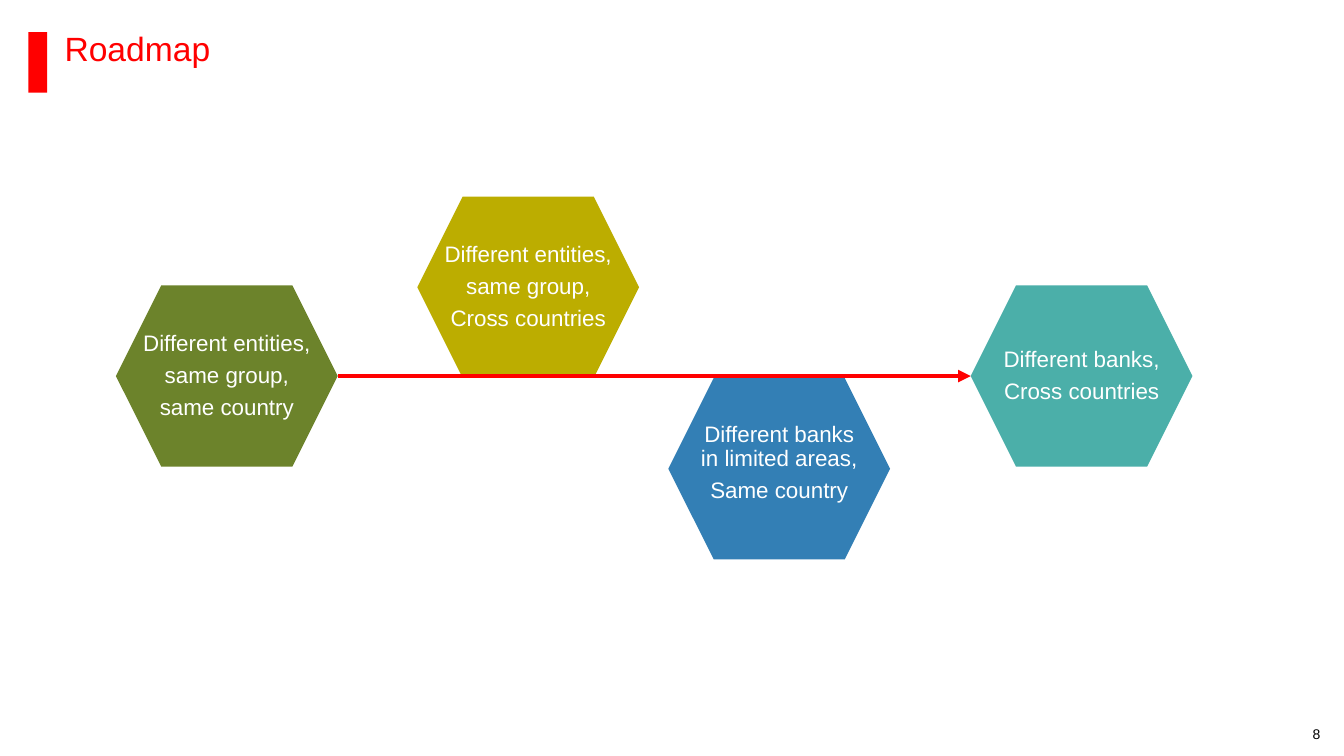
from lxml.etree import SubElement
from pptx import Presentation
from pptx.dml.color import RGBColor
from pptx.enum.shapes import MSO_CONNECTOR, MSO_SHAPE
from pptx.enum.text import MSO_ANCHOR, PP_ALIGN
from pptx.oxml.ns import qn
from pptx.util import Pt

RED = RGBColor(0xFF, 0x00, 0x00)
BLACK = RGBColor(0x00, 0x00, 0x00)
WHITE = RGBColor(0xFF, 0xFF, 0xFF)
GREEN = RGBColor(0x6C, 0x83, 0x2B)
YELLOW = RGBColor(0xBC, 0xAD, 0x00)
BLUE = RGBColor(0x33, 0x7F, 0xB5)
TEAL = RGBColor(0x4B, 0xAF, 0xA9)

# Geometry in points
STAGE_W, STAGE_H = 158.4, 129.6
LABEL_W, LABEL_H = 121, 89.3
AXIS_Y = 268.6
LEVEL_TOP = AXIS_Y - STAGE_H / 2
ABOVE_TOP, BELOW_TOP = 270 - STAGE_H, 270
START_X, END_X = 82.8, 693.4


class RoadmapSlide:
    """Holds the text style and the slide being drawn."""

    font_name = "Arial"
    line_spacing = 0.9

    def __init__(self, slide):
        self.slide = slide

    def add_lines(self, frame, lines, size, color, align, gap=0):
        for index, line in enumerate(lines):
            paragraph = frame.paragraphs[0] if index == 0 else frame.add_paragraph()
            paragraph.alignment = align
            paragraph.line_spacing = self.line_spacing
            paragraph.space_before = Pt(0)
            paragraph.space_after = Pt(gap)
            run = paragraph.add_run()
            run.text = line
            run.font.name = self.font_name
            run.font.size = Pt(size)
            run.font.color.rgb = color

    def set_frame(self, frame, anchor, top=0, bottom=0, wrap=True):
        frame.word_wrap = wrap
        frame.vertical_anchor = anchor
        frame.margin_left = frame.margin_right = Pt(0)
        frame.margin_top, frame.margin_bottom = Pt(top), Pt(bottom)

    def title(self, text, left, top, width, height):
        heading = self.slide.shapes.title
        heading.left, heading.top = Pt(left), Pt(top)
        heading.width, heading.height = Pt(width), Pt(height)
        self.set_frame(heading.text_frame, MSO_ANCHOR.TOP, bottom=1.4)
        self.add_lines(heading.text_frame, [text], 24, RED, PP_ALIGN.LEFT)

    def shape(self, shapes, kind, left, top, width, height, color):
        block = shapes.add_shape(kind, Pt(left), Pt(top), Pt(width), Pt(height))
        block.shadow.inherit = False
        block.fill.solid()
        block.fill.fore_color.rgb = color
        block.line.fill.background()
        return block

    def page_number(self, text, left, top, width, height):
        number = self.slide.shapes.add_textbox(Pt(left), Pt(top), Pt(width), Pt(height))
        self.set_frame(number.text_frame, MSO_ANCHOR.MIDDLE, wrap=False)
        self.add_lines(number.text_frame, [text], 10, BLACK, PP_ALIGN.CENTER)

    def stage(self, lines, left, top, color, label_drop=20.2, bottom=2.2):
        group = self.slide.shapes.add_group_shape()
        hexagon = self.shape(group.shapes, MSO_SHAPE.HEXAGON, left, top, STAGE_W, STAGE_H, color)
        hexagon.adjustments[0] = 0.25
        label = group.shapes.add_textbox(
            Pt(left + (STAGE_W - LABEL_W) / 2), Pt(top + label_drop), Pt(LABEL_W), Pt(LABEL_H))
        self.set_frame(label.text_frame, MSO_ANCHOR.MIDDLE, top=2.2, bottom=bottom)
        self.add_lines(label.text_frame, lines, 16, WHITE, PP_ALIGN.CENTER, gap=5.6)

    def arrow(self, start_x, end_x, y):
        timeline = self.slide.shapes.add_connector(
            MSO_CONNECTOR.STRAIGHT, Pt(start_x), Pt(y), Pt(end_x), Pt(y))
        timeline.line.color.rgb = RED
        timeline.line.width = Pt(3)
        properties = timeline.element.spPr
        SubElement(properties.find(qn("a:ln")), qn("a:tailEnd"), type="triangle")
        SubElement(properties, qn("a:effectLst"))


def main():
    presentation = Presentation()
    presentation.slide_width, presentation.slide_height = Pt(960), Pt(540)
    roadmap = RoadmapSlide(presentation.slides.add_slide(presentation.slide_layouts[5]))

    # Title, accent bar and page number
    roadmap.shape(roadmap.slide.shapes, MSO_SHAPE.RECTANGLE, 20.2, 23, 13.4, 43.2, RED)
    roadmap.page_number("8", 932.4, 518.4, 15.8, 13)
    roadmap.title("Roadmap", 46.1, 23, 853.2, 49.7)

    # Stages
    roadmap.stage(["Different entities,", "same group,", "same country"],
                  START_X, LEVEL_TOP, GREEN)
    roadmap.stage(["Different banks,", "Cross countries"], END_X, LEVEL_TOP, TEAL)
    roadmap.stage(["Different banks in limited areas,", "Same country"],
                  477.4, BELOW_TOP, BLUE, label_drop=27.4, bottom=25)
    roadmap.stage(["Different entities,", "same group,", "Cross countries"],
                  298.1, ABOVE_TOP, YELLOW)

    # Timeline from the first stage to the last
    roadmap.arrow(START_X + STAGE_W, END_X, AXIS_Y)

    presentation.save("out.pptx")


if __name__ == "__main__":
    main()
